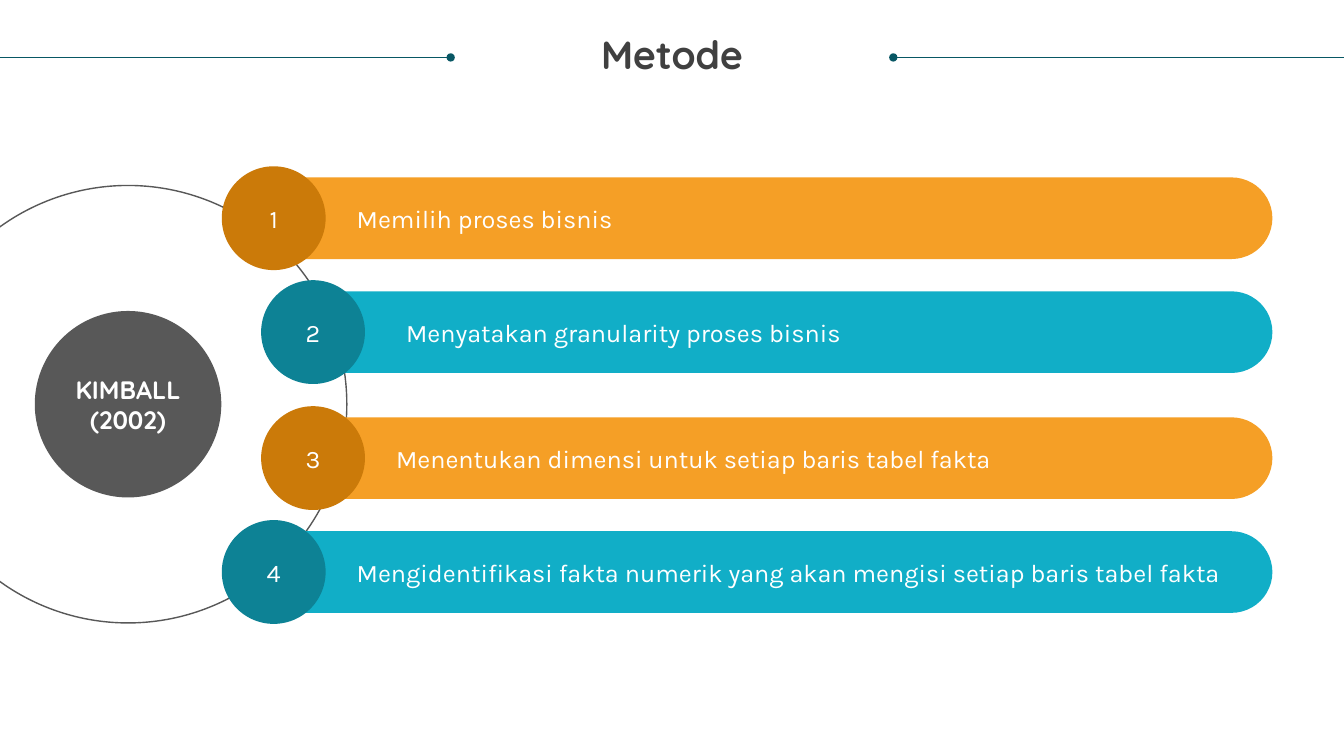
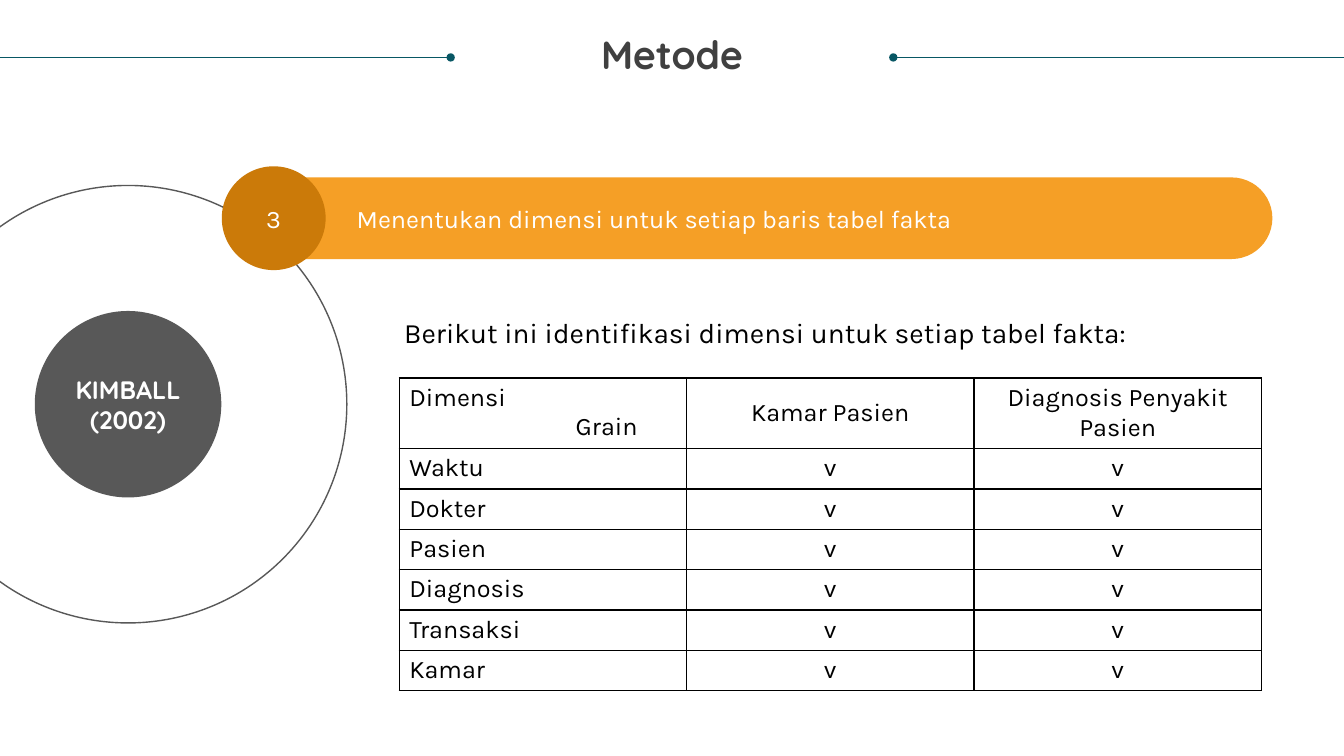
"""Builds two slides on the Kimball method: its four steps, and the dimension table."""
from lxml import etree
from pptx import Presentation
from pptx.dml.color import RGBColor
from pptx.enum import shapes, text
from pptx.oxml import ns
from pptx.util import Inches, Pt

WHITE = RGBColor(0xFF, 0xFF, 0xFF)
BLACK = RGBColor(0x00, 0x00, 0x00)
INK = RGBColor(0x40, 0x40, 0x40)
GREY = RGBColor(0x58, 0x58, 0x58)
RULE = RGBColor(0x08, 0x57, 0x64)
ORANGE = RGBColor(0xF5, 0x9F, 0x26)
DARK_ORANGE = RGBColor(0xCB, 0x7A, 0x09)
TEAL = RGBColor(0x11, 0xAE, 0xC7)
DARK_TEAL = RGBColor(0x0D, 0x82, 0x95)
HEAD_FONT, BODY_FONT = "Quicksand", "Karla"

TITLE = "Metode"
HUB = "KIMBALL\n(2002)"
STEPS = [
    "Memilih proses bisnis",
    "Menyatakan granularity proses bisnis",
    "Menentukan dimensi untuk setiap baris tabel fakta",
    "Mengidentifikasi fakta numerik yang akan mengisi setiap baris tabel fakta",
]
PLACES = [(2.2, 2.32, 1.65), (2.59, 2.81, 2.78), (2.59, 2.71, 4.03), (2.2, 2.32, 5.16)]
PAIRS = [(ORANGE, DARK_ORANGE), (TEAL, DARK_TEAL)]
INTRO = "Berikut ini identifikasi dimensi untuk setiap tabel fakta:"
HEADER = ["Dimensi\nGrain", "Kamar Pasien", "Diagnosis Penyakit Pasien"]
DIMENSIONS = ["Waktu", "Dokter", "Pasien", "Diagnosis", "Transaksi", "Kamar"]

SLIDE_W, SLIDE_H = 13.33, 7.5
RULE_Y, RULE_LEN = 0.57, 4.47
HUB_X, HUB_Y = 1.27, 4.01
DISC, BAR_H, BAR_RIGHT = 1.03, 0.81, 12.62
COL_W, HEAD_H, ROW_H = 2.85, 0.7, 0.4


def write(tf, content, color, size=18, font=BODY_FONT, bold=False, align=text.PP_ALIGN.LEFT):
    tf.text = content
    for p in tf.paragraphs:
        p.alignment = align
        for r in p.runs:
            r.font.name, r.font.size, r.font.bold = font, Pt(size), bold
            r.font.color.rgb = color


def add_box(s, x, y, w, h):
    tf = s.shapes.add_textbox(Inches(x), Inches(y), Inches(w), Inches(h)).text_frame
    tf.word_wrap = True
    return tf


def add_form(s, kind, x, y, w, h, fill=None):
    sp = s.shapes.add_shape(kind, Inches(x), Inches(y), Inches(w), Inches(h))
    sp.shadow.inherit = False
    if fill is None:
        sp.fill.background()
    else:
        sp.fill.solid()
        sp.fill.fore_color.rgb = fill
        sp.line.fill.background()
    sp.text_frame.vertical_anchor = text.MSO_ANCHOR.MIDDLE
    return sp


def add_circle(s, cx, cy, d, fill=None):
    return add_form(s, shapes.MSO_SHAPE.OVAL, cx - d / 2, cy - d / 2, d, d, fill)


def add_rule(s, edge_x, dot_x):
    line = s.shapes.add_connector(shapes.MSO_CONNECTOR.STRAIGHT, Inches(edge_x),
                                  Inches(RULE_Y), Inches(dot_x), Inches(RULE_Y))
    line.line.color.rgb = RULE
    line.line.width = Pt(0.5)
    etree.SubElement(line.line._get_or_add_ln(), ns.qn("a:tailEnd"), type="oval")
    etree.SubElement(line._element.spPr, ns.qn("a:effectLst"))


def add_base(prs):
    s = prs.slides.add_slide(prs.slide_layouts[6])
    add_rule(s, 0, RULE_LEN)
    add_rule(s, SLIDE_W, SLIDE_W - RULE_LEN)
    tf = add_box(s, 0.25, 0.35, 12.83, 0.42)
    tf.margin_left = tf.margin_right = tf.margin_top = tf.margin_bottom = 0
    write(tf, TITLE, INK, 28, HEAD_FONT, True, text.PP_ALIGN.CENTER)
    tf.paragraphs[0].line_spacing = 0.9
    ring = add_circle(s, HUB_X, HUB_Y, 4.34)
    ring.line.color.rgb = GREY
    ring.line.width = Pt(1)
    hub = add_circle(s, HUB_X, HUB_Y, 1.85, GREY)
    write(hub.text_frame, HUB, WHITE, 18, HEAD_FONT, True, text.PP_ALIGN.CENTER)
    return s


def add_step(s, number, place):
    disc_x, bar_x, y = place
    light, dark = PAIRS[(number - 1) % 2]
    bar = add_form(s, shapes.MSO_SHAPE.ROUNDED_RECTANGLE, bar_x, y + (DISC - BAR_H) / 2,
                   BAR_RIGHT - bar_x, BAR_H, light)
    bar.adjustments[0] = 0.5
    bar.text_frame.margin_left = Inches(1.1)
    write(bar.text_frame, STEPS[number - 1], WHITE)
    disc = add_circle(s, disc_x + DISC / 2, y + DISC / 2, DISC, dark)
    write(disc.text_frame, str(number), WHITE, align=text.PP_ALIGN.CENTER)


def add_borders(cell):
    tcPr = cell._tc.get_or_add_tcPr()
    for side in ("lnL", "lnR", "lnT", "lnB"):
        ln = etree.SubElement(tcPr, ns.qn("a:" + side), w=str(Pt(1)))
        fill = etree.SubElement(ln, ns.qn("a:solidFill"))
        etree.SubElement(fill, ns.qn("a:srgbClr"), val=str(BLACK))


def add_dimension_table(s, x, y):
    rows = [HEADER] + [[name, "v", "v"] for name in DIMENSIONS]
    heights = [HEAD_H] + [ROW_H] * len(DIMENSIONS)
    table = s.shapes.add_table(len(rows), len(HEADER), Inches(x), Inches(y),
                               Inches(COL_W * len(HEADER)), Inches(sum(heights))).table
    table.first_row = table.horz_banding = False
    for col in table.columns:
        col.width = Inches(COL_W)
    for i, (row, height) in enumerate(zip(rows, heights)):
        table.rows[i].height = Inches(height)
        for j, content in enumerate(row):
            cell = table.cell(i, j)
            write(cell.text_frame, content, BLACK,
                  align=text.PP_ALIGN.CENTER if j else text.PP_ALIGN.LEFT)
            if i == 0 and j:
                cell.vertical_anchor = text.MSO_ANCHOR.MIDDLE
            add_borders(cell)
            cell.fill.background()
    grain = table.cell(0, 0).text_frame.paragraphs[1]
    grain._p.get_or_add_pPr().set("marL", str(Inches(1.65)))


def main():
    prs = Presentation()
    prs.slide_width, prs.slide_height = Inches(SLIDE_W), Inches(SLIDE_H)

    s = add_base(prs)
    for number, place in enumerate(PLACES, 1):
        add_step(s, number, place)

    s = add_base(prs)
    add_step(s, 3, PLACES[0])
    write(add_box(s, 3.91, 3.08, 8.71, 0.44), INTRO, BLACK, 20)
    add_dimension_table(s, 3.96, 3.75)

    prs.save("out.pptx")


if __name__ == "__main__":
    main()
